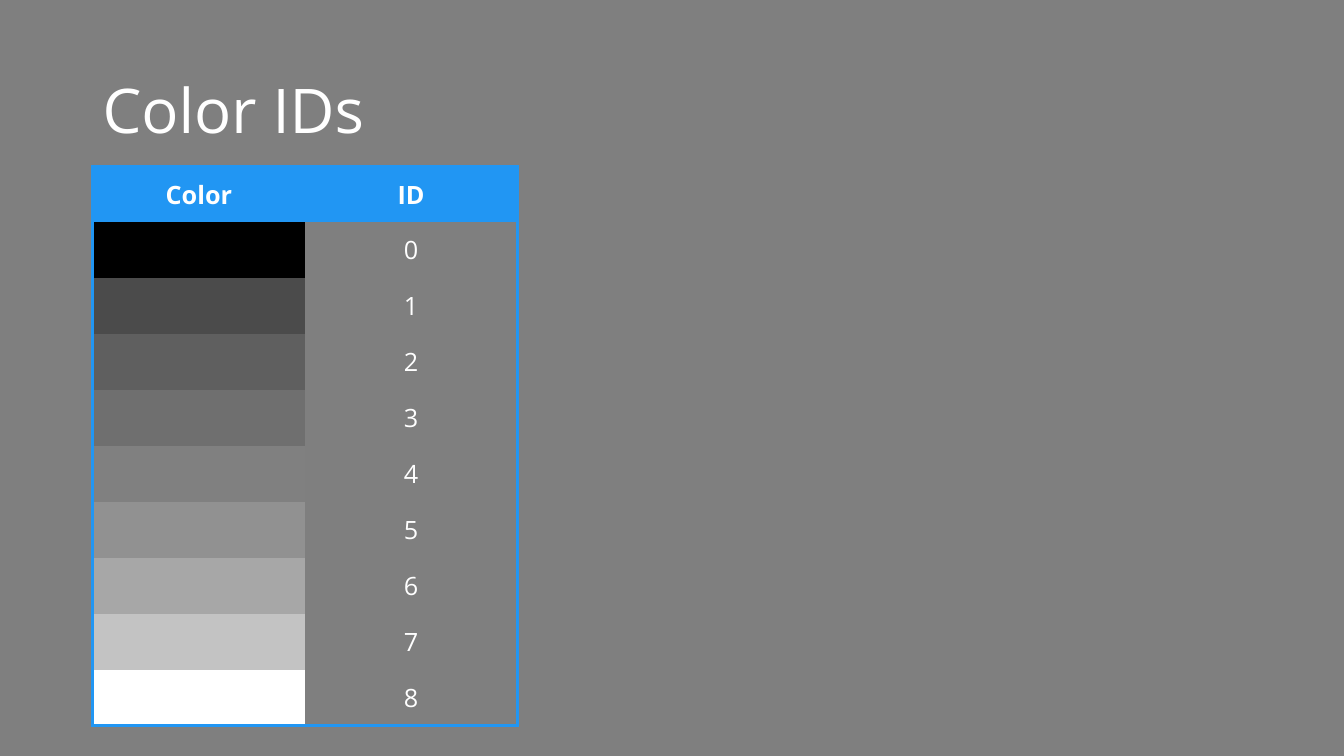
from dataclasses import dataclass

from lxml import etree
from pptx import Presentation
from pptx import util as u
from pptx.dml.color import RGBColor
from pptx.enum import shapes, text
from pptx.oxml.ns import qn

FONT = "Open Sans"
WHITE = RGBColor(0xFF, 0xFF, 0xFF)
BLACK = RGBColor(0x00, 0x00, 0x00)
BLUE = RGBColor(0x21, 0x96, 0xF3)
GRAY_LEVELS = [0x00, 0x4B, 0x5F, 0x6F, 0x80, 0x91, 0xA7, 0xC3, 0xFF]
PLAIN_STYLE = "{2D5ABB26-0587-4C30-8999-92F81FD0307C}"  # no style, no grid


@dataclass
class Swatch:
    id: int
    color: RGBColor


SWATCHES = [Swatch(i, RGBColor(v, v, v)) for i, v in enumerate(GRAY_LEVELS)]


def write(tf, content: str, *, size: float, bold: bool = False, align=text.PP_ALIGN.LEFT,
          line_spacing: float = 1.0) -> None:
    p = tf.paragraphs[0]
    p.alignment = align
    p.line_spacing = line_spacing
    r = p.add_run()
    r.text = content
    r.font.name = FONT
    r.font.size = u.Pt(size)
    r.font.bold = bold
    r.font.color.rgb = WHITE


def add_border(cell, side: str) -> None:
    ln = etree.SubElement(cell._tc.get_or_add_tcPr(), qn(f"a:ln{side}"), w=str(u.Pt(2.25)))
    fill = etree.SubElement(ln, qn("a:solidFill"))
    etree.SubElement(fill, qn("a:srgbClr"), val=str(BLUE))


def format_cell(cell, sides: str, color: RGBColor | None, content: str = "",
                bold: bool = False) -> None:
    for side in sides:
        add_border(cell, side)
    if color is None:
        cell.fill.background()
    else:
        cell.fill.solid()
        cell.fill.fore_color.rgb = color
    cell.vertical_anchor = text.MSO_ANCHOR.MIDDLE
    if content:
        write(cell.text_frame, content, size=18, bold=bold, align=text.PP_ALIGN.CENTER)


def add_backdrop(s, width: int, height: int) -> None:
    sp = s.shapes.add_shape(shapes.MSO_SHAPE.RECTANGLE, 0, 0, width, height)
    sp.shadow.inherit = False
    sp.line.fill.background()
    sp.fill.solid()
    sp.fill.fore_color.rgb = BLACK
    color = sp._element.spPr.find(f"{qn('a:solidFill')}/{qn('a:srgbClr')}")
    etree.SubElement(color, qn("a:alpha"), val="50000")


def add_title(s, content: str) -> None:
    box = s.shapes.add_textbox(u.Inches(0.92), u.Inches(0.4), u.Inches(11.5), u.Inches(1.45))
    tf = box.text_frame
    tf.word_wrap = True
    tf.vertical_anchor = text.MSO_ANCHOR.MIDDLE
    write(tf, content, size=44, line_spacing=0.9)


def add_color_table(s, swatches: list[Swatch]) -> None:
    frame = s.shapes.add_table(len(swatches) + 1, 2, u.Inches(0.92), u.Inches(1.65),
                               u.Inches(4.21), u.Inches(5.55))
    table = frame.table
    table.horz_banding = False
    frame._element.find(f".//{qn('a:tableStyleId')}").text = PLAIN_STYLE

    # Header row
    format_cell(table.cell(0, 0), "LT", BLUE, "Color", bold=True)
    format_cell(table.cell(0, 1), "RT", BLUE, "ID", bold=True)

    # One row per gray, with the outer frame closed on the last
    for row, swatch in enumerate(swatches, 1):
        bottom = "B" if row == len(swatches) else ""
        format_cell(table.cell(row, 0), "L" + bottom, swatch.color)
        format_cell(table.cell(row, 1), "R" + bottom, None, str(swatch.id))


def main() -> None:
    prs = Presentation()
    prs.slide_width, prs.slide_height = u.Inches(13.33), u.Inches(7.5)
    s = prs.slides.add_slide(prs.slide_layouts[6])
    add_backdrop(s, prs.slide_width, prs.slide_height)
    add_title(s, "Color IDs")
    add_color_table(s, SWATCHES)
    prs.save("out.pptx")


if __name__ == "__main__":
    main()
